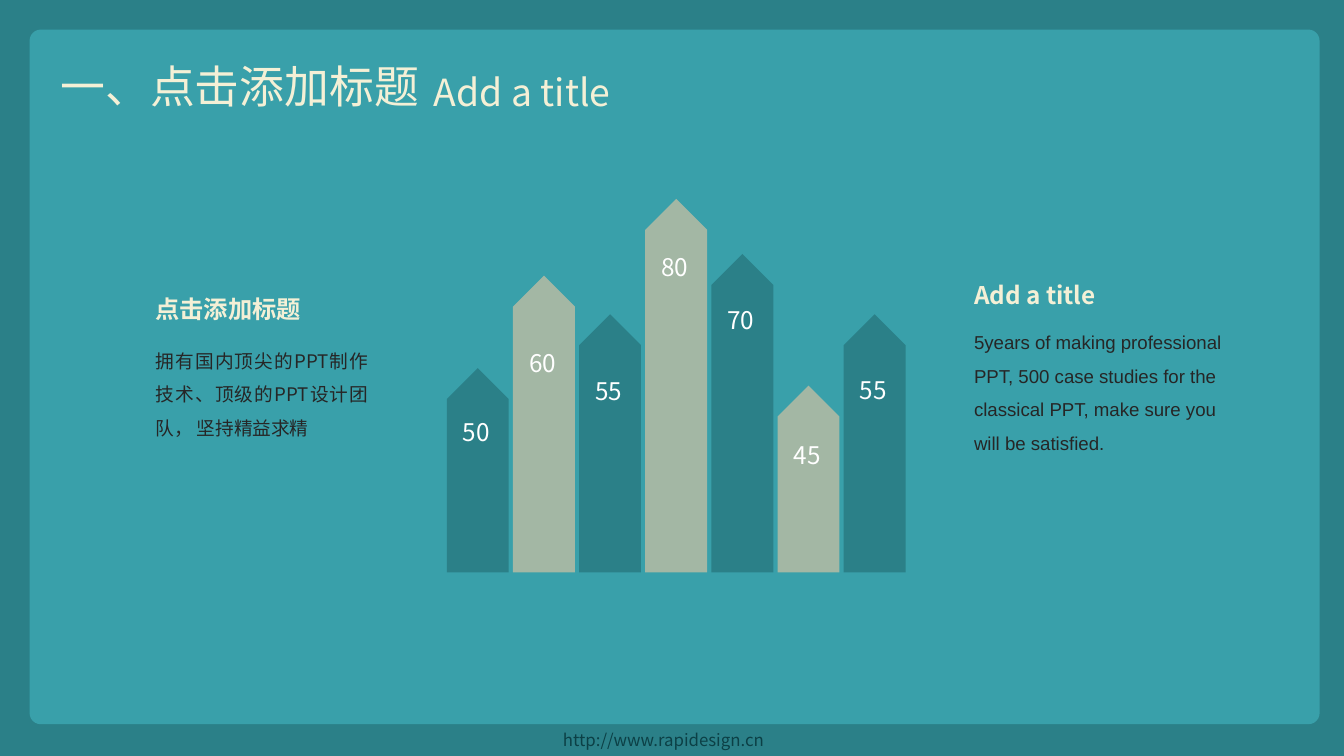
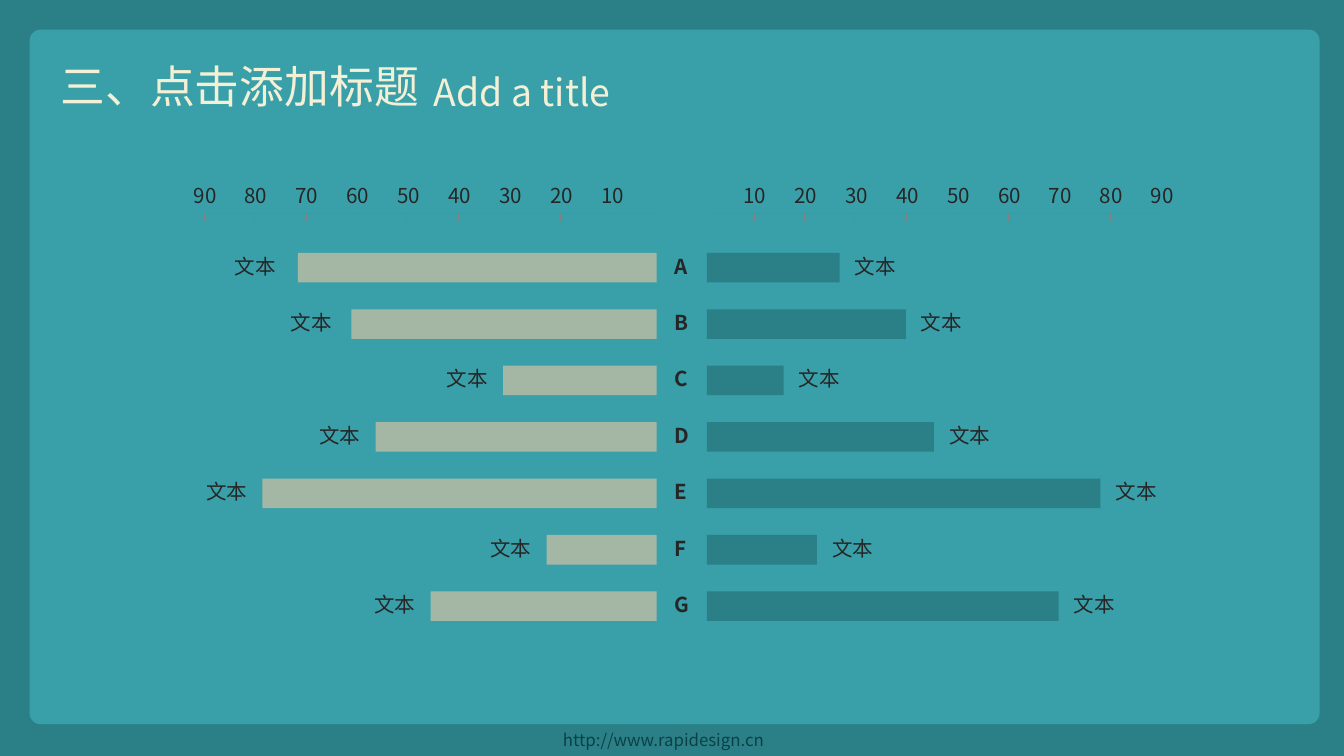
from lxml.etree import SubElement
from pptx import Presentation
from pptx.dml.color import RGBColor
from pptx.enum.shapes import MSO_CONNECTOR, MSO_SHAPE
from pptx.enum.text import MSO_ANCHOR, MSO_AUTO_SIZE, PP_ALIGN
from pptx.oxml.ns import qn
from pptx.util import Cm, Pt

TEAL = RGBColor(0x2B, 0x80, 0x88)
AQUA = RGBColor(0x39, 0xA0, 0xAA)
SAGE = RGBColor(0xA3, 0xB7, 0xA4)
CREAM = RGBColor(0xF4, 0xF0, 0xD6)
INK = RGBColor(0x26, 0x26, 0x26)
DEEP = RGBColor(0x0C, 0x40, 0x46)
GREY = RGBColor(0x80, 0x80, 0x80)
WHITE = RGBColor(0xFF, 0xFF, 0xFF)
NOTO = "Noto Sans CJK SC"


def add_block(s, kind, left, top, width, height, color):
    sp = s.shapes.add_shape(kind, Cm(left), Cm(top), Cm(width), Cm(height))
    sp.shadow.inherit = False
    sp.fill.solid()
    sp.fill.fore_color.rgb = color
    sp.line.fill.background()
    return sp


def put_text(s, text, left, top, width, height, size, color, align=PP_ALIGN.LEFT,
             bold=False, font=NOTO, spacing=1.0, wrap=True, sp=None):
    """Fill sp, or a new text box, with one formatted run."""
    if sp is None:
        sp = s.shapes.add_textbox(0, 0, 0, 0)
    sp.left, sp.top, sp.width, sp.height = Cm(left), Cm(top), Cm(width), Cm(height)
    tf = sp.text_frame
    tf.word_wrap = wrap
    tf.auto_size = MSO_AUTO_SIZE.SHAPE_TO_FIT_TEXT
    tf.vertical_anchor = MSO_ANCHOR.TOP
    p = tf.paragraphs[0]
    p.alignment = align
    p.line_spacing = spacing
    r = p.add_run()
    r.text = text
    r.font.size = Pt(size)
    r.font.bold = bold
    r.font.color.rgb = color
    r.font.name = font
    SubElement(r.font._element, qn("a:ea"), typeface=font)


prs = Presentation()
prs.slide_width, prs.slide_height = Cm(25.4), Cm(14.29)

# Frame, title and footer of both slides
for title in ("一、点击添加标题", "三、点击添加标题"):
    s = prs.slides.add_slide(prs.slide_layouts[5])
    add_block(s, MSO_SHAPE.RECTANGLE, 0, 0, 25.4, 14.29, TEAL)
    panel = add_block(s, MSO_SHAPE.ROUNDED_RECTANGLE, 0.56, 0.56, 24.38, 13.13, AQUA)
    panel.adjustments[0] = 0.016
    panel.element.addnext(s.shapes.title.element)
    put_text(s, title, 0.89, 0.99, 11.53, 1.27, 24, CREAM, PP_ALIGN.JUSTIFY,
             sp=s.shapes.title)
    put_text(s, "Add a title", 7.95, 1.19, 11.81, 1.12, 20, CREAM, PP_ALIGN.JUSTIFY)
    put_text(s, "http://www.rapidesign.cn", 10.39, 13.67, 4.65, 0.64, 9, DEEP,
             PP_ALIGN.JUSTIFY)
arrow_slide, tornado_slide = prs.slides

# Slide 1: seven upright arrows between two text blocks
s = arrow_slide
ARROW_W, ARROW_BASE = 1.17, 10.82
arrows = [  # value, length, top of the value label
    ("50", 3.86, 7.77), ("60", 5.61, 6.45), ("55", 4.88, 6.98), ("80", 7.06, 4.65),
    ("70", 6.02, 5.64), ("45", 3.53, 8.2), ("55", 4.88, 6.96),
]
for i, (value, length, label_top) in enumerate(arrows):
    center = 9.03 + 1.25 * i
    # The unrotated arrow lies flat around the same centre point
    sp = add_block(s, MSO_SHAPE.PENTAGON, center - length / 2,
                   ARROW_BASE - length / 2 - ARROW_W / 2, length, ARROW_W,
                   SAGE if i % 2 else TEAL)
    sp.rotation = 270
    put_text(s, value, center - 0.53, label_top, 1.17, 0.64, 13, WHITE)

put_text(s, "拥有国内顶尖的PPT制作技术、顶级的PPT设计团队， 坚持精益求精",
         2.69, 6.27, 4.52, 2.18, 10, INK, PP_ALIGN.JUSTIFY, spacing=1.5)
put_text(s, "5years of making professional PPT, 500 case studies for the "
         "classical PPT, make sure you will be satisfied.",
         18.16, 5.92, 5.31, 2.82, 10, INK, font="Arial", spacing=1.5)
for heading, left, top, width in (("点击添加标题", 2.69, 5.16, 3.45),
                                  ("Add a title", 18.16, 4.9, 3)):
    put_text(s, heading, left, top, width, 0.99, 13, CREAM, PP_ALIGN.JUSTIFY,
             bold=True, spacing=1.5)

# Slide 2: bars running left and right from a middle column of letters
s = tornado_slide
LEFT_BASE, RIGHT_BASE, BAR_H, LABEL_W = 12.41, 13.36, 0.56, 1.35
rows = [  # letter, left bar, gap to left label, right bar
    ("A", 6.78, 0.13, 2.51), ("B", 5.77, 0.08, 3.76), ("C", 2.9, 0, 1.45),
    ("D", 5.31, 0, 4.29), ("E", 7.45, 0, 7.44), ("F", 2.08, 0, 2.08),
    ("G", 4.27, 0, 6.65),
]
for i, (letter, left_w, gap, right_w) in enumerate(rows):
    bar_top = 4.78 + 6.4 * i / 6
    text_top = bar_top - 0.11
    put_text(s, letter, 12.5, text_top, 0.8, 0.74, 11, INK, bold=True, wrap=False)
    bar_left, bar_right = LEFT_BASE - left_w, RIGHT_BASE + right_w
    add_block(s, MSO_SHAPE.RECTANGLE, bar_left, bar_top, left_w, BAR_H, SAGE)
    add_block(s, MSO_SHAPE.RECTANGLE, RIGHT_BASE, bar_top, right_w, BAR_H, TEAL)
    for label_left in (bar_left - gap - LABEL_W, bar_right):
        put_text(s, "文本", label_left, text_top, LABEL_W, 0.74, 11, INK,
                 PP_ALIGN.CENTER)

# Two mirrored scales from 10 to 90
AXIS_Y, TICK_END = 4.04, 4.19
lines = [(3.86, AXIS_Y, 12.42, AXIS_Y), (13.39, AXIS_Y, 21.95, AXIS_Y)]
for first, direction in ((11.56, -1), (14.25, 1)):
    for k in range(9):
        x = first + direction * 7.7 * k / 8
        lines.append((x, AXIS_Y, x, TICK_END))
        put_text(s, str(10 * (k + 1)), x - 0.45, 3.33, 0.97, 0.74, 11, INK, wrap=False)
for ends in lines:
    cn = s.shapes.add_connector(MSO_CONNECTOR.STRAIGHT, *[Cm(v) for v in ends])
    cn.line.color.rgb = GREY
    cn.line.width = Pt(0.5)
    SubElement(cn.element.spPr, qn("a:effectLst"))

prs.save("out.pptx")
